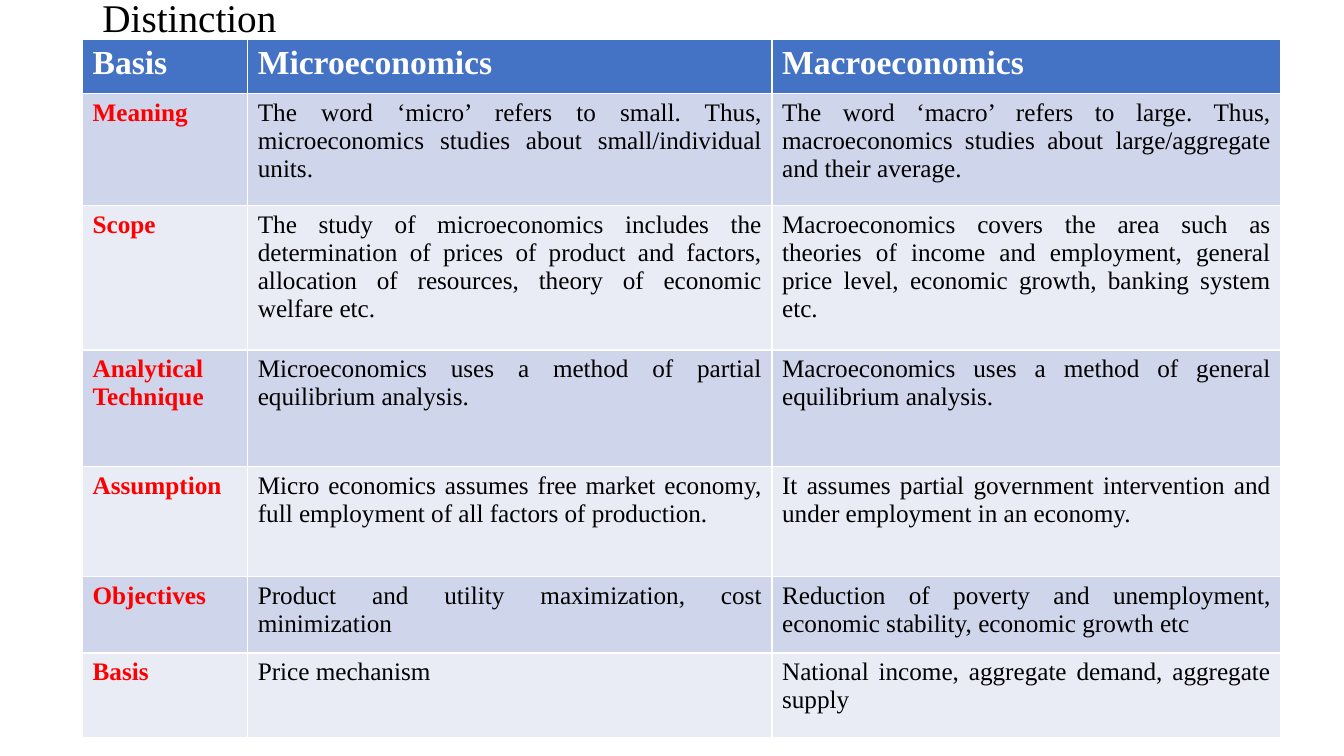
from pptx import Presentation
from pptx.dml.color import RGBColor
from pptx.enum.text import MSO_ANCHOR, MSO_AUTO_SIZE, PP_ALIGN
from pptx.util import Pt

FONT = "Times New Roman"
BLACK = RGBColor(0x00, 0x00, 0x00)
WHITE = RGBColor(0xFF, 0xFF, 0xFF)
RED = RGBColor(0xFF, 0x00, 0x00)
BLUE = RGBColor(0x44, 0x72, 0xC4)
BAND_DARK = RGBColor(0xCF, 0xD5, 0xEA)
BAND_LIGHT = RGBColor(0xE9, 0xEB, 0xF5)

COL_WIDTHS = [118, 374.5, 363.5]
ROW_HEIGHTS = [39, 80, 103, 83.5, 78.5, 54.5, 60.5]
ROWS = [
    ("Basis", "Microeconomics", "Macroeconomics"),
    ("Meaning",
     "The word ‘micro’ refers to small. Thus, microeconomics studies about small/individual units.",
     "The word ‘macro’ refers to large. Thus, macroeconomics studies about large/aggregate and their average."),
    ("Scope",
     "The study of microeconomics includes the determination of prices of product and factors, "
     "allocation of resources, theory of economic welfare etc.",
     "Macroeconomics covers the area such as theories of income and employment, general price level, "
     "economic growth, banking system etc."),
    ("Analytical Technique",
     "Microeconomics uses a method of partial equilibrium analysis.",
     "Macroeconomics uses a method of general equilibrium analysis."),
    ("Assumption",
     "Micro economics assumes free market economy, full employment of all factors of production.",
     "It assumes partial government intervention and under employment in an economy."),
    ("Objectives",
     "Product and utility maximization, cost minimization",
     "Reduction of poverty and unemployment, economic stability, economic growth etc"),
    ("Basis", "Price mechanism", "National income, aggregate demand, aggregate supply"),
]


def add_text(p, text, size, color, bold=False):
    """Add one formatted run to a paragraph."""
    r = p.add_run()
    r.text = text
    r.font.name = FONT
    r.font.size = Pt(size)
    r.font.bold = bold
    r.font.color.rgb = color


def add_title(s, x, y, w, h):
    """Place the slide title in the given box."""
    sp = s.shapes.title
    sp.left, sp.top, sp.width, sp.height = Pt(x), Pt(y), Pt(w), Pt(h)
    tf = sp.text_frame
    tf.auto_size = MSO_AUTO_SIZE.NONE
    tf.vertical_anchor = MSO_ANCHOR.MIDDLE
    p = tf.paragraphs[0]
    p.alignment = PP_ALIGN.LEFT
    p.line_spacing = 0.9
    add_text(p, "Distinction", 28, BLACK)


def add_comparison(s, x, y):
    """Place the comparison table with its top left corner at x, y."""
    table = s.shapes.add_table(len(ROWS), len(COL_WIDTHS), Pt(x), Pt(y),
                               Pt(sum(COL_WIDTHS)), Pt(sum(ROW_HEIGHTS))).table
    for col, width in zip(table.columns, COL_WIDTHS):
        col.width = Pt(width)
    for i, (texts, height) in enumerate(zip(ROWS, ROW_HEIGHTS)):
        table.rows[i].height = Pt(height)
        band = BAND_DARK if i % 2 else BAND_LIGHT
        for j, text in enumerate(texts):
            cell = table.cell(i, j)
            cell.fill.solid()
            cell.fill.fore_color.rgb = band if i else BLUE
            p = cell.text_frame.paragraphs[0]
            p.alignment = PP_ALIGN.JUSTIFY
            if i == 0:
                add_text(p, text, 24, WHITE, True)
            elif j == 0:
                add_text(p, text, 18, RED, True)
            else:
                add_text(p, text, 18, BLACK)


def main():
    """Build and save the presentation."""
    prs = Presentation()
    prs.slide_width, prs.slide_height = Pt(960), Pt(540)
    s = prs.slides.add_slide(prs.slide_layouts[5])
    add_title(s, 66, 0, 828, 28)
    add_comparison(s, 59, 28)
    prs.save("out.pptx")


if __name__ == "__main__":
    main()
